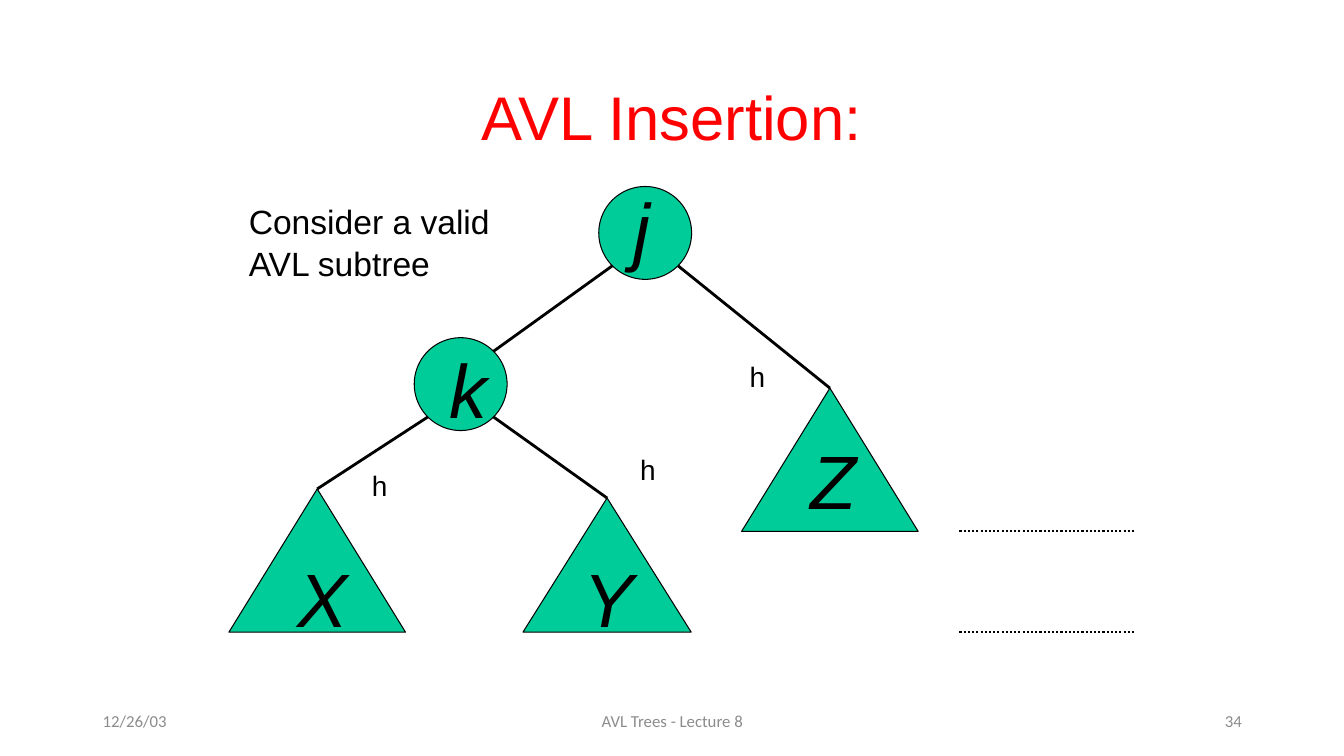
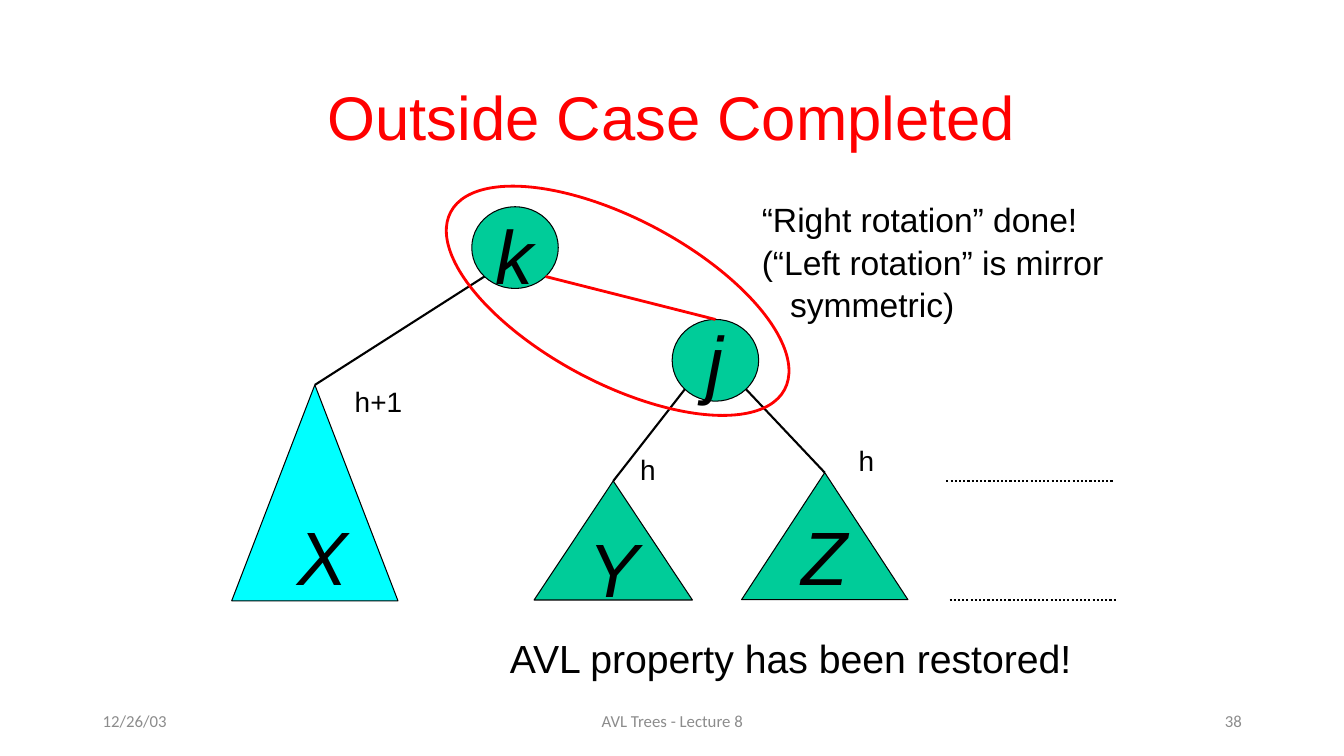
from dataclasses import dataclass
from math import sqrt
from typing import NamedTuple

from lxml import etree
from pptx import Presentation
from pptx.dml.color import RGBColor
from pptx.enum.dml import MSO_LINE
from pptx.enum.shapes import MSO_CONNECTOR, MSO_SHAPE
from pptx.enum.text import MSO_ANCHOR, MSO_AUTO_SIZE, PP_ALIGN
from pptx.oxml.ns import qn
from pptx.util import Cm, Pt

ELLIPSE, TRIANGLE = MSO_SHAPE.OVAL, MSO_SHAPE.ISOSCELES_TRIANGLE
STRAIGHT = MSO_CONNECTOR.STRAIGHT
DOTTED = MSO_LINE.ROUND_DOT
LEFT, CENTER, RIGHT = PP_ALIGN.LEFT, PP_ALIGN.CENTER, PP_ALIGN.RIGHT
TOP, MIDDLE = MSO_ANCHOR.TOP, MSO_ANCHOR.MIDDLE
NO_AUTOSIZE = MSO_AUTO_SIZE.NONE
TITLE_ONLY = 5


@dataclass(frozen=True)
class Theme:
    black: str = "000000"
    red: str = "FF0000"
    green: str = "00CC99"
    cyan: str = "00FFFF"
    gray: str = "8C8C8C"
    font: str = "Arial"
    footer_font: str = "Calibri"
    title_size: float = 44
    letter_size: float = 54
    note_size: float = 24
    closing_size: float = 28
    height_size: float = 20
    footer_size: float = 12
    outline: float = 0.75
    bold_line: float = 2
    dotted_line: float = 1.5
    line_spacing: float = 1.05


THEME = Theme()


class Point(NamedTuple):
    x: float
    y: float


class Box(NamedTuple):
    left: float
    top: float
    width: float
    height: float

    def at(self, across: float, down: float) -> Point:
        return Point(self.left + self.width * (1 + across) / 2,
                     self.top + self.height * (1 + down) / 2)


DIAGONAL = 1 / sqrt(2)
SITES = {
    "top": (0, -1),
    "upper right": (DIAGONAL, -DIAGONAL),
    "lower left": (-DIAGONAL, DIAGONAL),
    "lower right": (DIAGONAL, DIAGONAL),
}


@dataclass(frozen=True)
class Node:
    kind: int
    box: Box
    letter_at: Point | None = None
    fill: str = THEME.green


@dataclass(frozen=True)
class Edge:
    parent: str
    start: str
    child: str
    end: str = "top"
    color: str = THEME.black
    width: float = THEME.dotted_line


@dataclass(frozen=True)
class Note:
    text: str
    box: Box
    size: float = THEME.note_size
    hanging: float = 0


@dataclass(frozen=True)
class Level:
    left: float
    y: float
    length: float


@dataclass(frozen=True)
class TreeSlide:
    title: str
    number: str
    nodes: dict[str, Node]
    edges: list[Edge]
    notes: list[Note]
    levels: list[Level]
    ring: Box | None = None


TITLE_BOX = Box(6.07, 1.8, 21.72, 2.24)
FOOTER_TOP, FOOTER_HEIGHT = 17.65, 1.02
LETTER_WIDTH, LETTER_HEIGHT = 1.42, 2.54
RING_ANGLE = 28


def height_label(text: str, left: float, top: float, width: float = 0.89) -> Note:
    return Note(text, Box(left, top, width, 1.12), THEME.height_size)


def lengths(box: Box) -> list[int]:
    return [Cm(value) for value in box]


def write_text(text_frame, text: str, *, size: float, color: str = THEME.black,
               font: str = THEME.font, italic: bool = False, align=LEFT,
               anchor=TOP, wrap: bool = True, spacing: float = 1,
               hanging: float = 0) -> None:
    text_frame.auto_size = NO_AUTOSIZE
    text_frame.word_wrap = wrap
    text_frame.vertical_anchor = anchor
    text_frame.text = text
    for paragraph in text_frame.paragraphs:
        paragraph.alignment = align
        paragraph.line_spacing = spacing
        if hanging:
            properties = paragraph._p.get_or_add_pPr()
            properties.set("marL", str(Cm(hanging)))
            properties.set("indent", str(-Cm(hanging)))
        for run in paragraph.runs:
            run.font.size = Pt(size)
            run.font.name = font
            run.font.italic = italic
            run.font.color.rgb = RGBColor.from_string(color)


def add_text(slide, text: str, box: Box, **text_format) -> None:
    write_text(slide.shapes.add_textbox(*lengths(box)).text_frame, text, **text_format)


def add_figure(slide, kind: int, box: Box, *, fill: str | None = None,
               line: str = THEME.black, width: float = THEME.outline):
    shape = slide.shapes.add_shape(kind, *lengths(box))
    shape.shadow.inherit = False
    if fill:
        shape.fill.solid()
        shape.fill.fore_color.rgb = RGBColor.from_string(fill)
    else:
        shape.fill.background()
    shape.line.color.rgb = RGBColor.from_string(line)
    shape.line.width = Pt(width)
    return shape


def add_line(slide, start: Point, end: Point, *, width: float,
             color: str = THEME.black, dash=None) -> None:
    line = slide.shapes.add_connector(STRAIGHT, *(Cm(value) for value in (*start, *end)))
    line.line.color.rgb = RGBColor.from_string(color)
    line.line.width = Pt(width)
    if dash is not None:
        line.line.dash_style = dash
    etree.SubElement(line._element.spPr, qn("a:effectLst"))


def add_node(slide, letter: str, node: Node) -> None:
    shape = add_figure(slide, node.kind, node.box, fill=node.fill)
    if node.letter_at is None:
        write_text(shape.text_frame, letter, size=THEME.letter_size, italic=True,
                   align=CENTER, anchor=MIDDLE, wrap=False)
    else:
        add_text(slide, letter, Box(*node.letter_at, LETTER_WIDTH, LETTER_HEIGHT),
                 size=THEME.letter_size, italic=True)


def add_frame(slide, title: str, number: str) -> None:
    placeholder = slide.shapes.title
    placeholder.left, placeholder.top, placeholder.width, placeholder.height = lengths(TITLE_BOX)
    write_text(placeholder.text_frame, title, size=THEME.title_size, color=THEME.red,
               align=CENTER, anchor=MIDDLE)
    footers = [("12/26/03", 2.34, 7.62, LEFT),
               ("AVL Trees - Lecture 8", 11.23, 11.43, CENTER),
               (number, 23.93, 7.62, RIGHT)]
    for text, left, width, align in footers:
        add_text(slide, text, Box(left, FOOTER_TOP, width, FOOTER_HEIGHT),
                 size=THEME.footer_size, font=THEME.footer_font, color=THEME.gray,
                 align=align, anchor=MIDDLE)


def add_tree_slide(presentation, content: TreeSlide) -> None:
    slide = presentation.slides.add_slide(presentation.slide_layouts[TITLE_ONLY])
    add_frame(slide, content.title, content.number)
    for letter, node in content.nodes.items():
        add_node(slide, letter, node)
    for edge in content.edges:
        add_line(slide, content.nodes[edge.parent].box.at(*SITES[edge.start]),
                 content.nodes[edge.child].box.at(*SITES[edge.end]),
                 color=edge.color, width=edge.width)
    for level in content.levels:
        add_line(slide, Point(level.left, level.y),
                 Point(level.left + level.length, level.y),
                 width=THEME.dotted_line, dash=DOTTED)
    for note in content.notes:
        add_text(slide, note.text, note.box, size=note.size, wrap=False,
                 spacing=THEME.line_spacing, hanging=note.hanging)
    if content.ring:
        ring = add_figure(slide, ELLIPSE, content.ring, line=THEME.red, width=THEME.bold_line)
        ring.rotation = RING_ANGLE


INSERTION = TreeSlide(
    title="AVL Insertion:",
    number="34",
    nodes={
        "j": Node(ELLIPSE, Box(15.09, 4.7, 2.34, 2.34), Point(15.72, 4.47)),
        "k": Node(ELLIPSE, Box(10.44, 8.51, 2.34, 2.34), Point(11.07, 8.51)),
        "X": Node(TRIANGLE, Box(5.77, 12.32, 4.45, 3.61), Point(7.26, 13.79)),
        "Y": Node(TRIANGLE, Box(13.18, 12.55, 4.24, 3.38), Point(14.45, 13.79)),
        "Z": Node(TRIANGLE, Box(18.69, 9.78, 4.45, 3.61), Point(20.17, 10.82)),
    },
    edges=[
        Edge("j", "lower left", "k", "upper right", width=THEME.bold_line),
        Edge("j", "lower right", "Z", width=THEME.bold_line),
        Edge("k", "lower left", "X", width=THEME.bold_line),
        Edge("k", "lower right", "Y", width=THEME.bold_line),
    ],
    notes=[
        Note("Consider a valid\nAVL subtree", Box(6.02, 4.88, 6.65, 2.31)),
        height_label("h", 18.64, 8.89),
        height_label("h", 9.12, 11.63),
        height_label("h", 15.88, 11.23),
    ],
    levels=[Level(24.18, 13.39, 4.45), Level(24.18, 15.93, 4.45)],
)

COMPLETED = TreeSlide(
    title="Outside Case Completed",
    number="38",
    nodes={
        "j": Node(ELLIPSE, Box(16.94, 8.05, 2.18, 2.06)),
        "k": Node(ELLIPSE, Box(11.89, 5.21, 2.18, 2.06), Point(12.24, 5.13)),
        "X": Node(TRIANGLE, Box(5.84, 9.7, 4.19, 5.44), Point(7.24, 12.72), THEME.cyan),
        "Y": Node(TRIANGLE, Box(13.46, 12.12, 3.99, 3), Point(14.58, 13.03)),
        "Z": Node(TRIANGLE, Box(18.69, 11.91, 4.19, 3.2), Point(19.96, 12.72)),
    },
    edges=[
        Edge("k", "lower left", "X"),
        Edge("j", "lower left", "Y"),
        Edge("j", "lower right", "Z"),
        Edge("k", "lower right", "j", color=THEME.red, width=THEME.bold_line),
    ],
    notes=[
        Note("“Right rotation” done!\n(“Left rotation” is mirror\vsymmetric)",
             Box(18.95, 4.85, 9.19, 3.35), hanging=0.71),
        Note("AVL property has been restored!", Box(12.6, 15.8, 14.81, 1.45),
             THEME.closing_size),
        height_label("h", 21.39, 11),
        height_label("h+1", 8.69, 9.53, 1.7),
        height_label("h", 15.88, 11.23),
    ],
    levels=[Level(23.85, 12.12, 4.19), Level(23.93, 15.11, 4.19)],
    ring=Box(10.8, 5.51, 9.53, 4.14),
)


def main() -> None:
    presentation = Presentation()
    presentation.slide_width, presentation.slide_height = Cm(33.87), Cm(19.05)
    for content in (INSERTION, COMPLETED):
        add_tree_slide(presentation, content)
    presentation.save("out.pptx")


if __name__ == "__main__":
    main()
